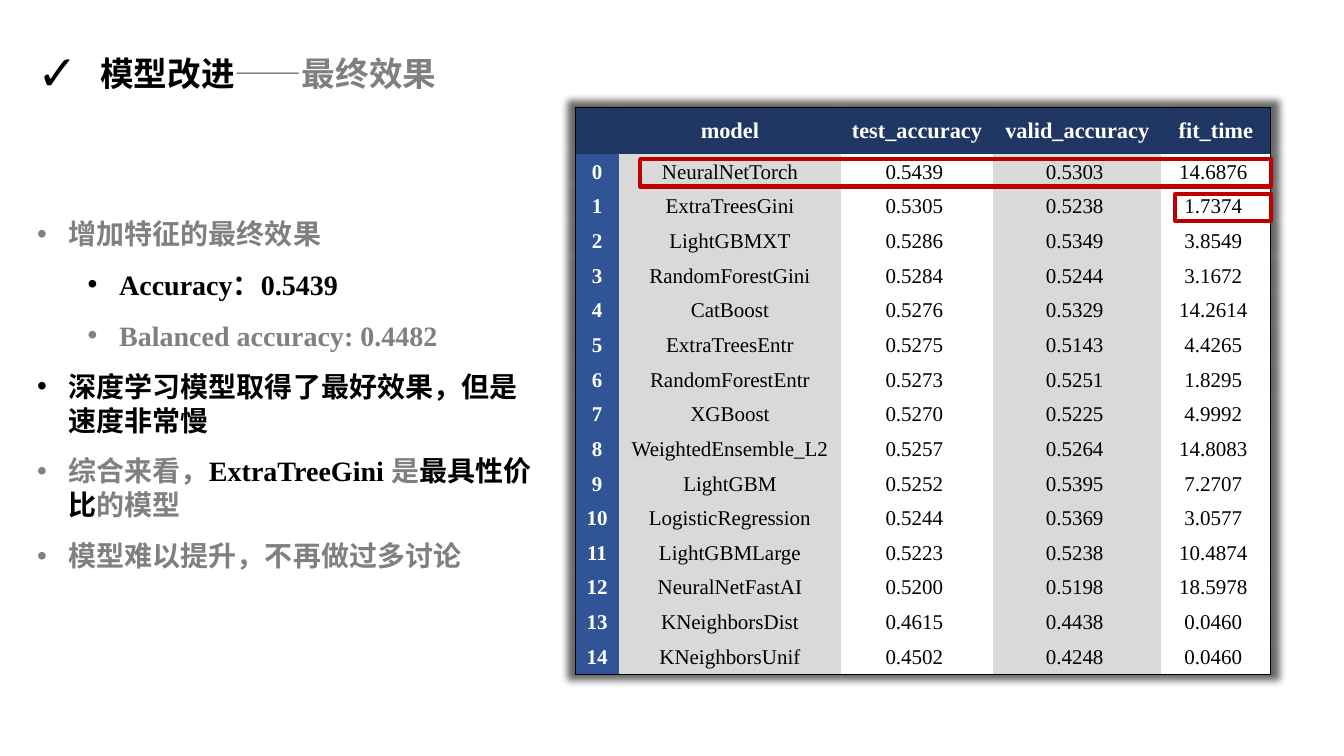
from lxml import etree
from pptx import Presentation
from pptx.dml.color import RGBColor
from pptx.enum.shapes import MSO_SHAPE
from pptx.enum.text import MSO_ANCHOR, PP_ALIGN
from pptx.oxml.ns import qn
from pptx.util import Pt

RECTANGLE = MSO_SHAPE.RECTANGLE
MIDDLE = MSO_ANCHOR.MIDDLE
CENTER = PP_ALIGN.CENTER

COLORS = {
    "black": "000000", "white": "FFFFFF", "gray": "808080", "red": "C00000",
    "header": "203764", "index": "305496", "band": "D9D9D9",
}
LATIN = "Times New Roman"
CHINESE = "Noto Sans CJK SC"
PLAIN_TABLE = "{2D5ABB26-0587-4C30-8999-92F81FD0307C}"

# Model, test accuracy, valid accuracy, fit time
HEADINGS = ["", "model", "test_accuracy", "valid_accuracy", "fit_time"]
RESULTS = [
    ("NeuralNetTorch", 0.5439, 0.5303, 14.6876),
    ("ExtraTreesGini", 0.5305, 0.5238, 1.7374),
    ("LightGBMXT", 0.5286, 0.5349, 3.8549),
    ("RandomForestGini", 0.5284, 0.5244, 3.1672),
    ("CatBoost", 0.5276, 0.5329, 14.2614),
    ("ExtraTreesEntr", 0.5275, 0.5143, 4.4265),
    ("RandomForestEntr", 0.5273, 0.5251, 1.8295),
    ("XGBoost", 0.5270, 0.5225, 4.9992),
    ("WeightedEnsemble_L2", 0.5257, 0.5264, 14.8083),
    ("LightGBM", 0.5252, 0.5395, 7.2707),
    ("LogisticRegression", 0.5244, 0.5369, 3.0577),
    ("LightGBMLarge", 0.5223, 0.5238, 10.4874),
    ("NeuralNetFastAI", 0.5200, 0.5198, 18.5978),
    ("KNeighborsDist", 0.4615, 0.4438, 0.0460),
    ("KNeighborsUnif", 0.4502, 0.4248, 0.0460),
]
COLUMN_WIDTHS = [31.5, 158.3, 109, 120, 78]
COLUMN_FILLS = ["index", "band", "white", "band", "white"]
HEADER_HEIGHT, ROW_HEIGHT = 33.75, 24.75

# Indent level and runs of each bullet
FINDINGS = [
    (0, [("增加特征的最终效果", "gray")]),
    (1, [("Accuracy：0.5439", "black")]),
    (1, [("Balanced accuracy: 0.4482", "gray")]),
    (0, [("深度学习模型取得了最好效果，但是速度非常慢", "black")]),
    (0, [("综合来看，", "gray"), ("ExtraTreeGini ", "black"), ("是", "gray"),
         ("最具性价比", "black"), ("的模型", "gray")]),
    (0, [("模型难以提升，不再做过多讨论", "gray")]),
]


def color(name):
    return RGBColor.from_string(COLORS[name])


def add_element(parent, tag, **attributes):
    element = etree.SubElement(parent, qn(tag))
    for name, value in attributes.items():
        element.set(name, str(value))
    return element


class SlideBuilder:
    def __init__(self, slide):
        self.slide = slide

    def set_font(self, font, size, color_name=None, bold=True):
        font.size, font.bold, font.name = Pt(size), bold, LATIN
        if color_name:
            font.color.rgb = color(color_name)
        latin = font._element.find(qn("a:latin"))
        east_asian = etree.Element(qn("a:ea"), typeface=CHINESE)
        latin.addnext(east_asian)

    def add_text_box(self, left, top, width, height):
        box = self.slide.shapes.add_textbox(Pt(left), Pt(top), Pt(width), Pt(height))
        box.text_frame.word_wrap = True
        return box.text_frame

    def add_bullet(self, paragraph, runs, size, bullet, margin, hanging, bullet_size=100):
        properties = paragraph._p.get_or_add_pPr()
        properties.set("marL", str(Pt(margin)))
        properties.set("indent", str(-Pt(hanging)))
        paragraph.line_spacing = Pt(size * 1.215)
        add_element(properties, "a:buSzPct", val=bullet_size * 1000)
        add_element(properties, "a:buFont", typeface="Arial")
        add_element(properties, "a:buChar", char=bullet)
        self.set_font(paragraph.font, size)
        for text, color_name in runs:
            run = paragraph.add_run()
            run.text = text
            run.font.color.rgb = color(color_name)

    def add_border(self, cell, side):
        properties = cell._tc.get_or_add_tcPr()
        line = etree.Element(qn(f"a:ln{side}"), w=str(Pt(0.5)))
        fill = add_element(line, "a:solidFill")
        add_element(fill, "a:srgbClr", val=COLORS["black"])
        borders = [child for child in properties if child.tag.startswith(qn("a:ln"))]
        properties.insert(len(borders), line)

    def fill_cell(self, cell, text, size, fill_name, font_name, bold):
        cell.fill.solid()
        cell.fill.fore_color.rgb = color(fill_name)
        cell.vertical_anchor = MIDDLE
        cell.margin_left = cell.margin_right = cell.margin_top = Pt(0.75)
        cell.margin_bottom = 0
        paragraph = cell.text_frame.paragraphs[0]
        paragraph.alignment = CENTER
        self.set_font(paragraph.font, size, font_name, bold)
        if text:
            paragraph.add_run().text = text

    def add_results_table(self, left, top):
        rows = [HEADINGS]
        for index, (model, *values) in enumerate(RESULTS):
            rows.append([str(index), model] + [f"{value:.4f} " for value in values])
        height = HEADER_HEIGHT + ROW_HEIGHT * len(RESULTS)
        frame = self.slide.shapes.add_table(
            len(rows), len(HEADINGS), Pt(left), Pt(top), Pt(sum(COLUMN_WIDTHS)), Pt(height))
        table = frame.table
        table.first_row = table.horz_banding = False
        for column, width in zip(table.columns, COLUMN_WIDTHS):
            column.width = Pt(width)
        last_row, last_column = len(rows) - 1, len(HEADINGS) - 1
        for row, texts in enumerate(rows):
            table.rows[row].height = Pt(ROW_HEIGHT if row else HEADER_HEIGHT)
            for column, text in enumerate(texts):
                cell = table.cell(row, column)
                dark = row == 0 or column == 0
                self.fill_cell(cell, text, 15 if row else 16,
                               COLUMN_FILLS[column] if row else "header",
                               "white" if dark else "black", dark)
                # Outline around the whole table only
                edges = {"L": column == 0, "R": column == last_column,
                         "T": row == 0, "B": row == last_row}
                for side, outer in edges.items():
                    if outer:
                        self.add_border(cell, side)
        # Plain style and a soft shadow on all sides
        properties = table._tbl.tblPr
        properties.find(qn("a:tableStyleId")).text = PLAIN_TABLE
        effects = etree.Element(qn("a:effectLst"))
        properties.insert(0, effects)
        shadow = add_element(effects, "a:outerShdw", blurRad=Pt(5), sx=102000, sy=102000,
                             algn="ctr", rotWithShape=0)
        shade = add_element(shadow, "a:srgbClr", val=COLORS["black"])
        add_element(shade, "a:alpha", val=60000)

    def add_highlight(self, left, top, width, height):
        shape = self.slide.shapes.add_shape(RECTANGLE, Pt(left), Pt(top), Pt(width), Pt(height))
        shape.shadow.inherit = False
        shape.fill.background()
        shape.line.color.rgb = color("red")
        shape.line.width = Pt(3)


def main():
    presentation = Presentation()
    presentation.slide_width, presentation.slide_height = Pt(960), Pt(540)
    builder = SlideBuilder(presentation.slides.add_slide(presentation.slide_layouts[6]))

    # Title
    title = builder.add_text_box(19.5, 34, 438, 36).paragraphs[0]
    title.space_before, title.space_after = Pt(4.8), Pt(6)
    builder.add_bullet(title, [("模型改进", "black"), ("——最终效果", "gray")],
                       24, "✓", 45, 45, 145)

    # Results
    builder.add_results_table(410.75, 76.5)

    # Findings
    findings = builder.add_text_box(19.5, 151, 368.5, 262)
    for number, (level, runs) in enumerate(FINDINGS):
        paragraph = findings.add_paragraph() if number else findings.paragraphs[0]
        paragraph.level = level
        paragraph.space_before = Pt(12)
        builder.add_bullet(paragraph, runs, 20, "•", 22.5 + 36 * level, 22.5)

    # Best accuracy and best value for time
    right_edge = 908
    for row, width in enumerate([450.75, 68.5]):
        builder.add_highlight(right_edge - width, 113.75 + ROW_HEIGHT * row, width, 19.5)

    presentation.save("out.pptx")


if __name__ == "__main__":
    main()
